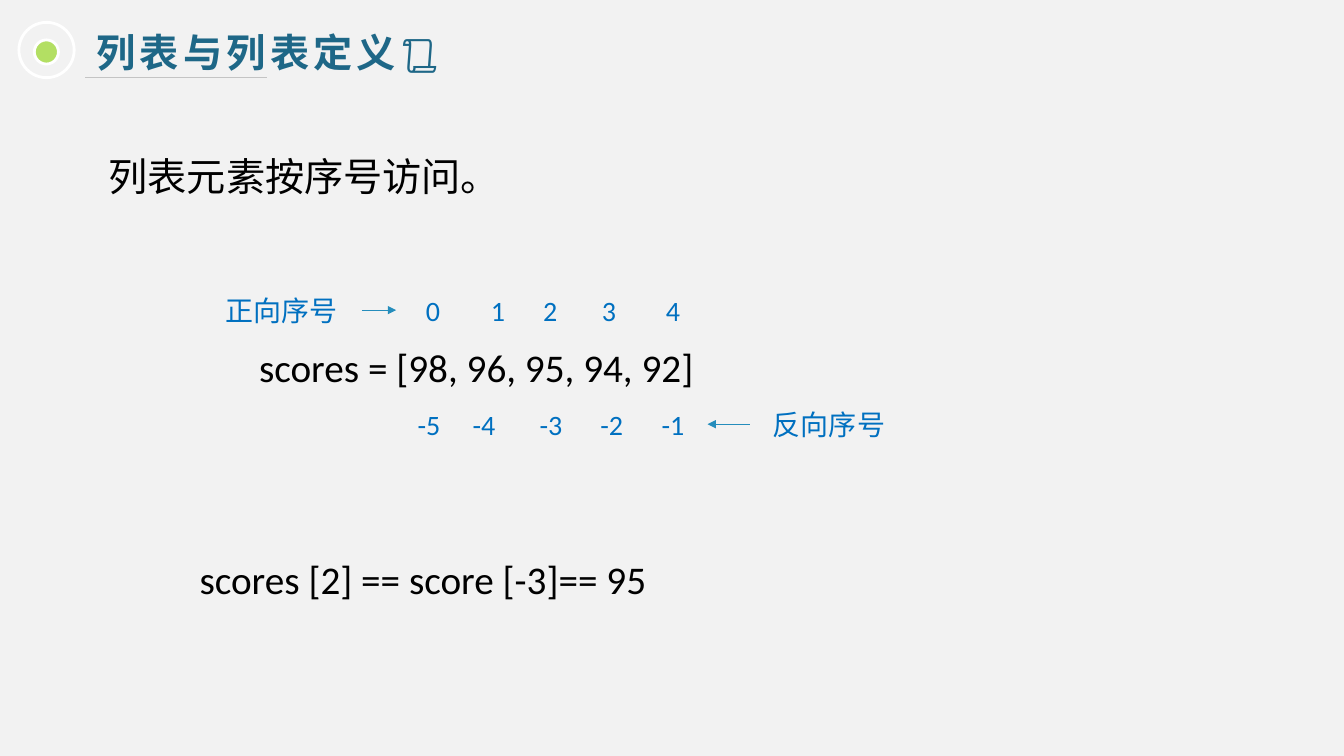
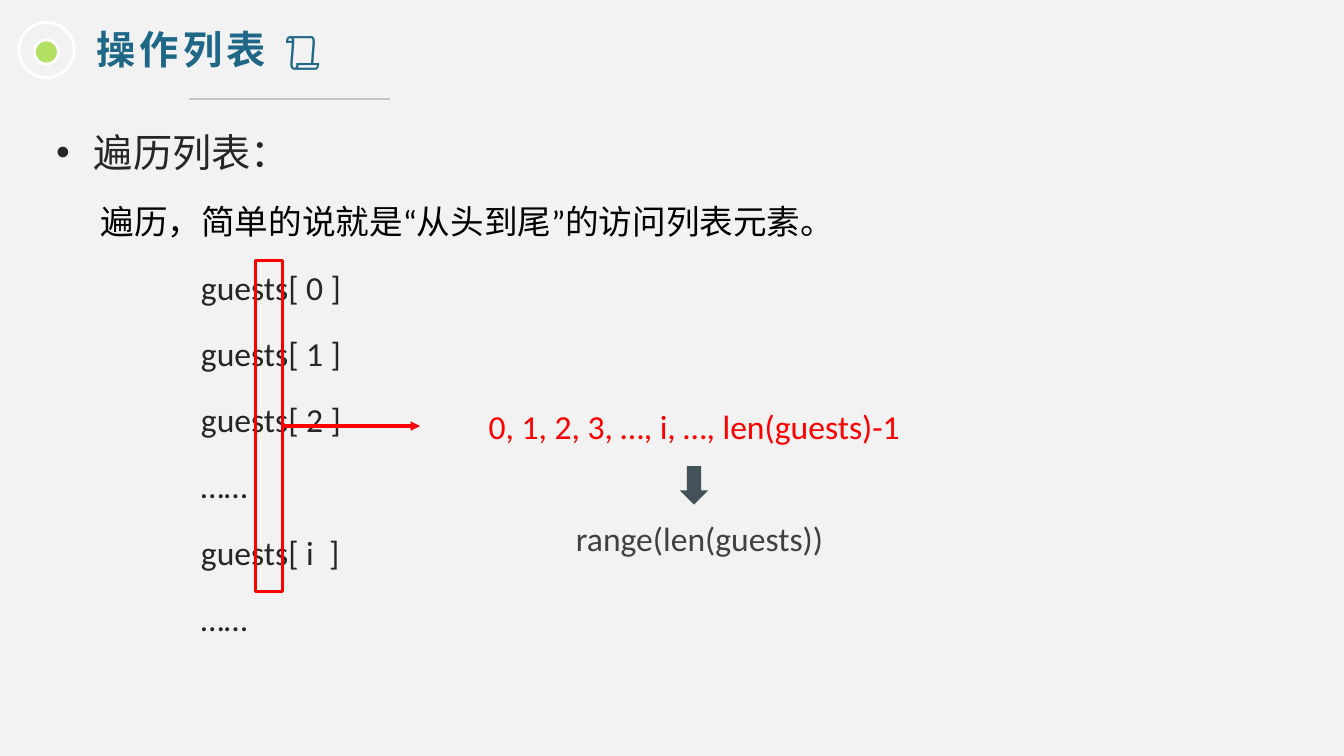
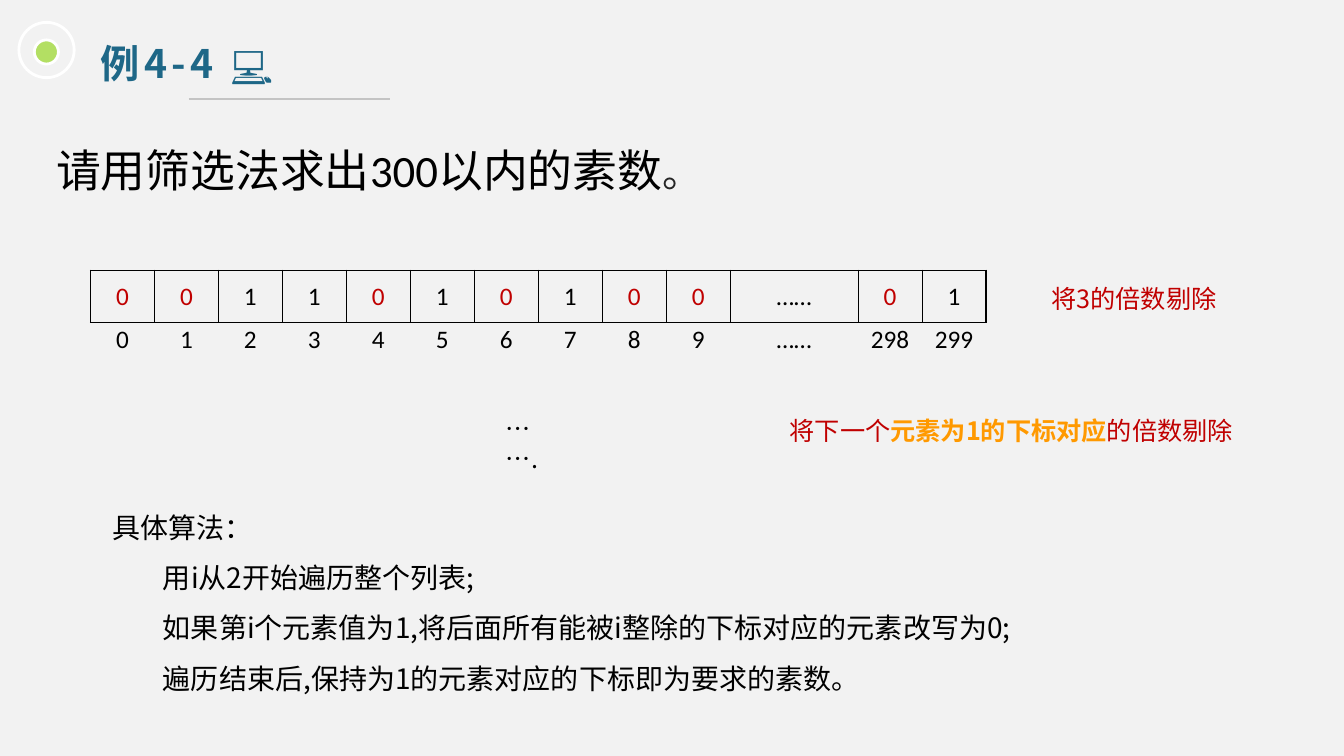
from pptx import Presentation
from pptx.util import Pt
from pptx.dml.color import RGBColor
from pptx.enum.shapes import MSO_SHAPE as Shape, MSO_CONNECTOR as Connector
from pptx.enum.text import PP_ALIGN as Align, MSO_ANCHOR as Anchor
from pptx.oxml.ns import qn
from lxml.etree import SubElement

LATIN, HAN = "Calibri", "Noto Sans CJK SC"
PAPER, TEAL, LIME, WHITE, RULE = "F2F2F2", "1E6787", "B3DF63", "FFFFFF", "C4C4C4"
BLACK, INK, GREY, SLATE = "000000", "262626", "404040", "435258"
INDEX_BLUE, ARROW_BLUE, RED, CRIMSON, ORANGE = "0070C0", "258DBC", "FF0000", "C00000", "FF9900"


def paint(color_format, value):
    color_format.rgb = RGBColor.from_string(value)


def add_run(paragraph, text, size, color, font=LATIN, bold=False, spacing=0):
    run = paragraph.add_run()
    run.text = text
    run.font.size, run.font.name, run.font.bold = Pt(size), font, bold
    paint(run.font.color, color)
    properties = run.font._element
    SubElement(properties, qn("a:ea")).set("typeface", font)
    if spacing:
        properties.set("spc", str(spacing * 100))


def add_frame(slide, box, anchor=Anchor.TOP):
    frame = slide.shapes.add_textbox(*map(Pt, box)).text_frame
    frame.word_wrap, frame.vertical_anchor = True, anchor
    return frame


def next_paragraph(frame):
    first = frame.paragraphs[0]
    return frame.add_paragraph() if first.runs else first


def indent(paragraph, left, first=0):
    properties = paragraph._p.get_or_add_pPr()
    properties.set("marL", str(Pt(left)))
    properties.set("indent", str(Pt(first)))
    return properties


def label(slide, box, text, size, color, align=Align.LEFT, anchor=Anchor.TOP):
    paragraph = add_frame(slide, box, anchor).paragraphs[0]
    paragraph.alignment = align
    add_run(paragraph, text, size, color)


def note(slide, box, *parts):
    paragraph = add_frame(slide, box).paragraphs[0]
    paragraph.line_spacing = Pt(21.5)
    for text, color, bold in parts:
        add_run(paragraph, text, 18, color, HAN, bold)


def add_figure(slide, kind, box, fill=None, line=None, width=2):
    figure = slide.shapes.add_shape(kind, *map(Pt, box))
    figure.shadow.inherit = False
    if fill:
        figure.fill.solid()
        paint(figure.fill.fore_color, fill)
    else:
        figure.fill.background()
    if line:
        paint(figure.line.color, line)
        figure.line.width = Pt(width)
    else:
        figure.line.fill.background()


def add_line(slide, start, end, y, color, width=0.75, arrow=False):
    line = slide.shapes.add_connector(Connector.STRAIGHT, Pt(start), Pt(y), Pt(end), Pt(y))
    paint(line.line.color, color)
    line.line.width = Pt(width)
    if arrow:
        SubElement(line.line._get_or_add_ln(), qn("a:tailEnd")).set("type", "triangle")
    SubElement(line._element.spPr, qn("a:effectLst"))


def add_titled_slide(deck, title, left, top, rule):
    slide = deck.slides.add_slide(deck.slide_layouts[6])
    slide.background.fill.solid()
    paint(slide.background.fill.fore_color, PAPER)
    heading = add_frame(slide, (left, top, 492.5, 41)).paragraphs[0]
    heading.line_spacing = Pt(35)
    add_run(heading, title, 28, TEAL, HAN, True, 3)
    add_figure(slide, Shape.OVAL, (24.5, 28.5, 17.25, 17.25), LIME, WHITE)
    add_figure(slide, Shape.OVAL, (13.5, 16, 39.5, 39.5), line=WHITE)
    add_line(slide, *rule, RULE)
    return slide


def index_row(slide, top, name, name_left, centers, arrow):
    height, width = 41, 50
    label(slide, (name_left, top, 110, height), name, 20, INDEX_BLUE, anchor=Anchor.MIDDLE)
    for text, center in centers.items():
        label(slide, (center - width / 2, top, width, height), text, 20, INDEX_BLUE,
              Align.CENTER, Anchor.MIDDLE)
    add_line(slide, *arrow, top + height / 2, ARROW_BLUE, arrow=True)


def indexing_slide(deck):
    slide = add_titled_slide(deck, "列表与列表定义📜", 62, 15, (61, 191, 55.4))
    for left, top, text in ((70.5, 105, "列表元素按序号访问。"),
                            (178, 242, "scores = [98, 96, 95, 94, 92]"),
                            (135.5, 393, "scores [2] == score [-3]== 95")):
        label(slide, (left, top, 509, 41), text, 28, BLACK)
    forward = {"0": 309.3, "1": 355.7, "2": 393, "3": 435, "4": 480.7}
    backward = {"-5": 306.4, "-4": 345.7, "-3": 393.6, "-2": 437, "-1": 480.7}
    index_row(slide, 201, "正向序号", 154, forward, (258.5, 283))
    index_row(slide, 282.5, "反向序号", 545, backward, (535.7, 505.4))


def traversal_text(slide, box):
    frame = add_frame(slide, box)
    lines = [("遍历列表：", 28, INK, 27), ("遍历，简单的说就是“从头到尾”的访问列表元素。", 24, BLACK, 31.7)]
    lines += [(item, 24, INK, 103.5) for item in
              ("guests[ 0 ]", "guests[ 1 ]", "guests[ 2 ]", "……", "guests[ i  ]", "……")]
    for row, (text, size, color, left) in enumerate(lines):
        paragraph = next_paragraph(frame)
        paragraph.line_spacing = 1.5
        paragraph.space_before = Pt(4 if row else 0)
        properties = indent(paragraph, left, 0 if row else -27)
        if row == 0:
            SubElement(properties, qn("a:buFont")).set("typeface", "Arial")
            SubElement(properties, qn("a:buChar")).set("char", "•")
        add_run(paragraph, text, size, color)


def range_steps(slide, left, top):
    label(slide, (left, top, 328, 47), "0, 1, 2, 3, …, i, …, len(guests)-1", 24, RED,
          Align.CENTER, Anchor.MIDDLE)
    add_figure(slide, Shape.DOWN_ARROW, (left + 153.5, top + 52, 20.5, 27.5), SLATE)
    label(slide, (left + 49, top + 83.5, 237.5, 39), "range(len(guests))", 24, GREY,
          Align.CENTER, Anchor.MIDDLE)


def traversal_slide(deck):
    slide = add_titled_slide(deck, "操作列表 📜", 62, 13.5, (134.75, 278.75, 70.75))
    traversal_text(slide, (33, 71.3, 828, 412.5))
    add_figure(slide, Shape.RECTANGLE, (182.7, 185.8, 19, 236.5), line=RED)
    add_line(slide, 201.6, 300, 304.3, RED, 2.25, True)
    range_steps(slide, 332, 281)


def set_borders(cell, color):
    properties = cell._tc.get_or_add_tcPr()
    for side in "LRTB":
        edge = SubElement(properties, qn(f"a:ln{side}"), w=str(Pt(1)))
        if color:
            fill = SubElement(edge, qn("a:solidFill"))
            SubElement(fill, qn("a:srgbClr")).set("val", color)
        else:
            SubElement(edge, qn("a:noFill"))


def sieve_row(slide, top, values, border=None, zero_color=BLACK):
    unit, height = 45.72, 37.4
    table = slide.shapes.add_table(1, len(values), Pt(64.6), Pt(top),
                                   Pt(unit * (len(values) + 1)), Pt(height)).table
    table.first_row = table.horz_banding = False
    for column, value in enumerate(values):
        table.columns[column].width = Pt(unit * (2 if value == "……" else 1))
        cell = table.cell(0, column)
        set_borders(cell, border)
        cell.fill.background()
        cell.vertical_anchor = Anchor.MIDDLE
        paragraph = cell.text_frame.paragraphs[0]
        paragraph.alignment = Align.CENTER
        add_run(paragraph, value, 18, zero_color if value == "0" else BLACK)


def algorithm(slide, box):
    frame = add_frame(slide, box)
    for row, text in enumerate(("具体算法：", "用i从2开始遍历整个列表;",
                                "如果第i个元素值为1,将后面所有能被i整除的下标对应的元素改写为0;",
                                "遍历结束后,保持为1的元素对应的下标即为要求的素数。")):
        paragraph = next_paragraph(frame)
        paragraph.line_spacing = Pt(36)
        indent(paragraph, 36 if row else 0)
        add_run(paragraph, text, 20, BLACK, HAN)


def sieve_slide(deck):
    slide = add_titled_slide(deck, "例4-4 💻", 65, 23.5, (134.75, 278.75, 70.75))
    task = add_frame(slide, (33, 98.6, 883, 50)).paragraphs[0]
    add_run(task, "请用筛选法求出300以内的素数", 32, BLACK)
    add_run(task, "。", 28, INK)
    sieve_row(slide, 193, [*"0011010100", "……", "0", "1"], BLACK, CRIMSON)
    sieve_row(slide, 224, [*"0123456789", "……", "298", "299"])
    note(slide, (743.8, 199, 134, 50), ("将3的倍数剔除", CRIMSON, False))
    note(slide, (354.3, 291.5, 49.5, 50), ("…….", BLACK, False))
    note(slide, (557, 293.3, 335, 50), ("将下一个", CRIMSON, False),
         ("元素为1的下标对应", ORANGE, True), ("的倍数剔除", CRIMSON, False))
    algorithm(slide, (73.3, 348.8, 661, 187))


def main():
    deck = Presentation()
    deck.slide_width, deck.slide_height = Pt(960), Pt(540)
    indexing_slide(deck)
    traversal_slide(deck)
    sieve_slide(deck)
    deck.save("out.pptx")


if __name__ == "__main__":
    main()
